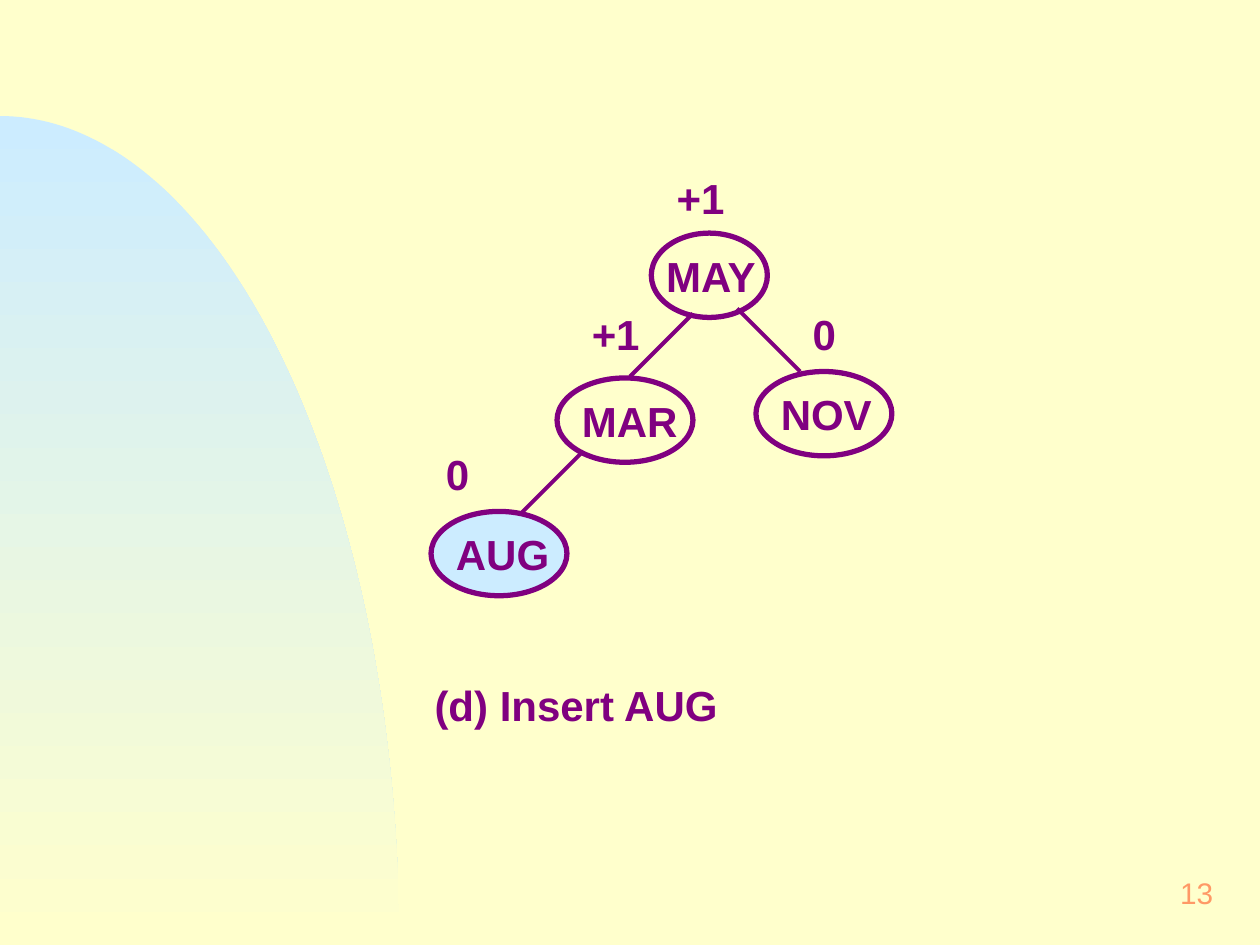
from math import cos, pi, sin

from lxml.etree import SubElement
from pptx import Presentation
from pptx.dml.color import RGBColor
from pptx.enum.shapes import MSO_CONNECTOR, MSO_SHAPE
from pptx.enum.text import MSO_ANCHOR, MSO_AUTO_SIZE, PP_ALIGN
from pptx.oxml.ns import qn
from pptx.util import Cm, Pt

PURPLE, SKY, CREAM, ORANGE = "800080", "CCECFF", "FFFFCC", "FF9966"


def colour(value):
    return RGBColor.from_string(value)


def write(frame, text, size=24, ink=PURPLE, bold=True, align=PP_ALIGN.LEFT, before=6):
    para = frame.paragraphs[0]
    para.alignment = align
    para.space_before = Pt(before)
    span = para.add_run()
    span.text = text
    span.font.name = "Arial"
    span.font.size = Pt(size)
    span.font.bold = bold
    span.font.color.rgb = colour(ink)


class TreeSlide:
    outline = 3
    link_width = 2.24
    node_height = 1.7
    text_height = 1.32

    def __init__(self, deck):
        self.page = deck.slides.add_slide(deck.slide_layouts[6])
        background = self.page.background.fill
        background.solid()
        background.fore_color.rgb = colour(CREAM)

    def quarter_ellipse(self, base, width, height, steps=90):
        angles = [pi / 2 * step / steps for step in range(steps + 1)]
        rim = [(Cm(width * sin(a)), Cm(base - height * cos(a))) for a in angles]
        builder = self.page.shapes.build_freeform(0, Cm(base))
        builder.add_line_segments(rim, close=True)
        shape = builder.convert_to_shape()
        shape.shadow.inherit = False
        shape.line.fill.background()
        shape.fill.gradient()
        shape.fill.gradient_angle = 270
        for stop, value, place in zip(shape.fill.gradient_stops, (SKY, CREAM), (0, 1)):
            stop.color.rgb = colour(value)
            stop.position = place

    def text(self, text, left, top, width=2.96, height=text_height,
             anchor=MSO_ANCHOR.TOP, fit=MSO_AUTO_SIZE.SHAPE_TO_FIT_TEXT, **style):
        box = self.page.shapes.add_textbox(Cm(left), Cm(top), Cm(width), Cm(height))
        frame = box.text_frame
        frame.word_wrap = True
        frame.auto_size = fit
        frame.vertical_anchor = anchor
        frame.margin_left = frame.margin_right = Cm(0.3)
        frame.margin_top = frame.margin_bottom = Cm(0.15)
        write(frame, text, **style)

    def node(self, name, left, top, width=2.74, inset=0.2, fill=None):
        shape = self.page.shapes.add_shape(
            MSO_SHAPE.OVAL, Cm(left), Cm(top), Cm(width), Cm(self.node_height))
        shape.shadow.inherit = False
        shape.line.color.rgb = colour(PURPLE)
        shape.line.width = Pt(self.outline)
        if fill:
            shape.fill.solid()
            shape.fill.fore_color.rgb = colour(fill)
        else:
            shape.fill.background()
        self.text(name, left + inset, top + 0.2)

    def link(self, left, top, run):
        line = self.page.shapes.add_connector(
            MSO_CONNECTOR.STRAIGHT, Cm(left), Cm(top), Cm(left + run), Cm(top + abs(run)))
        line.line.color.rgb = colour(PURPLE)
        line.line.width = Pt(self.link_width)
        SubElement(line._element.spPr, qn("a:effectLst"))


deck = Presentation()
deck.slide_width, deck.slide_height = Cm(25.4), Cm(19.05)
slide = TreeSlide(deck)
slide.quarter_ellipse(base=19.05, width=8.05, height=16.71)
slide.text("13", 19.48, 17.35, 5.28, 1.27, anchor=MSO_ANCHOR.MIDDLE,
           fit=MSO_AUTO_SIZE.NONE, size=17, ink=ORANGE, bold=False,
           align=PP_ALIGN.RIGHT, before=0)

slide.node("MAY", 13.13, 4.7, width=2.34, inset=0)
slide.node("MAR", 11.23, 7.62)
slide.node("NOV", 15.24, 7.49)
slide.node("AUG", 8.69, 10.31, fill=SKY)

for balance, left, top in [("+1", 13.34, 3.33), ("+1", 11.63, 6.07),
                           ("0", 16.08, 6.07), ("0", 8.69, 8.89)]:
    slide.text(balance, left, top)

for left, top, run in [(13.97, 6.32, -1.27), (14.86, 6.22, 1.27), (11.76, 9.09, -1.27)]:
    slide.link(left, top, run)

slide.text("(d) Insert AUG", 8.46, 13.54, width=6.99)
deck.save("out.pptx")
